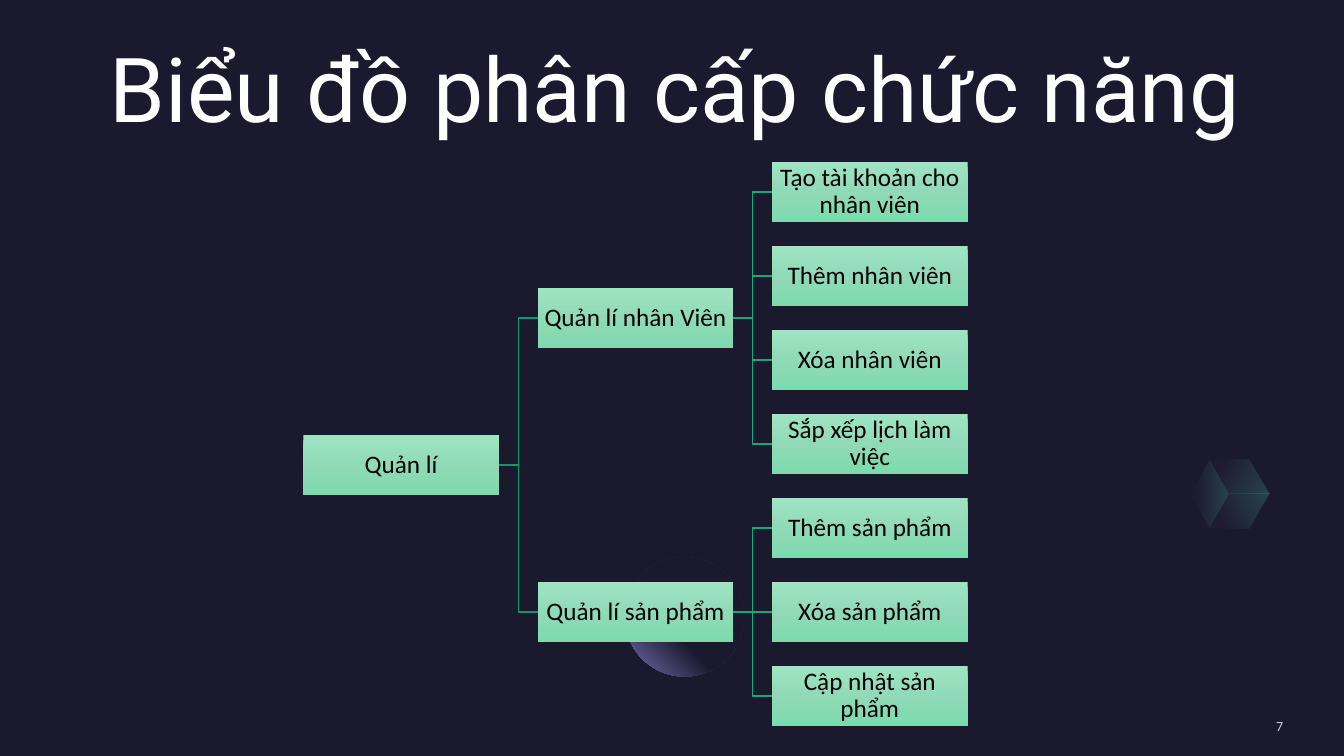
from dataclasses import dataclass

from lxml import etree
from pptx import Presentation
from pptx.dml.color import RGBColor
from pptx.enum.shapes import MSO_CONNECTOR, MSO_SHAPE
from pptx.enum.text import MSO_ANCHOR, PP_ALIGN
from pptx.oxml.ns import qn
from pptx.shapes.autoshape import Shape
from pptx.slide import Slide
from pptx.text.text import TextFrame
from pptx.util import Pt

RECTANGLE, OVAL = MSO_SHAPE.RECTANGLE, MSO_SHAPE.OVAL
ELBOW, STRAIGHT = MSO_CONNECTOR.ELBOW, MSO_CONNECTOR.STRAIGHT
LEFT, CENTER, RIGHT = PP_ALIGN.LEFT, PP_ALIGN.CENTER, PP_ALIGN.RIGHT
MIDDLE, BOTTOM = MSO_ANCHOR.MIDDLE, MSO_ANCHOR.BOTTOM

COLORS = {
    "background": "1B192E",
    "text": "FFFFFF",
    "box_text": "000000",
    "box_top": "9EE4C2",
    "box_middle": "91DAB7",
    "box_bottom": "7CDAAE",
    "root_line": "0F986E",
    "branch_line": "11AC7C",
    "cube_dark": "2C284A",
    "cube_light": "5BEFC1",
    "moon": "7771B2",
}

BOX_WIDTH, BOX_HEIGHT = 139.6, 42.6
TREE_LEFT, TREE_TOP = 216.7, 115.9
COLUMN_STEP, ROW_STEP = 167.4, 60
LEFT_SITE, RIGHT_SITE = 1, 3


@dataclass(frozen=True)
class Stop:
    position: int
    color: str
    alpha: int = 100


@dataclass(frozen=True)
class Facet:
    points: tuple[tuple[float, float], ...]
    angle: int


@dataclass(frozen=True)
class Style:
    size: float
    font: str
    color: str
    align: PP_ALIGN
    anchor: MSO_ANCHOR
    margin: float = 0
    space_after: float = 6
    line_spacing: float = 1.0


@dataclass(frozen=True)
class Node:
    label: str
    children: tuple["Node", ...] = ()


BOX_STOPS = (Stop(0, "box_top"), Stop(50, "box_middle"), Stop(100, "box_bottom"))
CUBE_STOPS = (Stop(20, "cube_dark", 20), Stop(100, "cube_light", 20))
MOON_STOPS = (Stop(60, "background"), Stop(100, "moon"))

CUBE_CENTER, CUBE_RIGHT = (877.7, 352.8), (906.5, 352.8)
CUBE_TOP_LEFT, CUBE_TOP_RIGHT = (864, 328.3), (892.1, 328.3)
CUBE_BOTTOM_LEFT, CUBE_BOTTOM_RIGHT = (864, 377.3), (892.1, 377.3)
CUBE_LEFT = (850.3, 352.8)
FACETS = (
    Facet((CUBE_TOP_RIGHT, CUBE_TOP_LEFT, CUBE_CENTER, CUBE_RIGHT), 30),
    Facet((CUBE_BOTTOM_LEFT, CUBE_LEFT, CUBE_TOP_LEFT, CUBE_CENTER), 0),
    Facet((CUBE_RIGHT, CUBE_BOTTOM_RIGHT, CUBE_BOTTOM_LEFT, CUBE_CENTER), 330),
)

TITLE = Style(64, "Roboto", "text", LEFT, BOTTOM)
PAGE_NUMBER = Style(10, "Calibri", "text", RIGHT, MIDDLE)
BOX_LABEL = Style(18, "Calibri", "box_text", CENTER, MIDDLE, 0.9, 6.3, 0.9)

FUNCTIONS = Node("Quản lí", (
    Node("Quản lí nhân Viên", (
        Node("Tạo tài khoản cho nhân viên"),
        Node("Thêm nhân viên"),
        Node("Xóa nhân viên"),
        Node("Sắp xếp lịch làm việc"),
    )),
    Node("Quản lí sản phẩm", (
        Node("Thêm sản phẩm"),
        Node("Xóa sản phẩm"),
        Node("Cập nhật sản phẩm"),
    )),
))


def rgb(name: str) -> RGBColor:
    return RGBColor.from_string(COLORS[name])


def set_alpha(color_element: etree._Element, percent: int) -> None:
    etree.SubElement(color_element, qn("a:alpha"), val=str(percent * 1000))


def paint_gradient(shape: Shape, stops: tuple[Stop, ...], angle: int | None) -> None:
    """Fill without outline; an angle of None gives a circle centred top right."""
    shape.shadow.inherit = False
    shape.line.fill.background()
    shape.fill.background()
    gradient = etree.Element(qn("a:gradFill"), rotWithShape="1")
    stop_list = etree.SubElement(gradient, qn("a:gsLst"))
    for stop in stops:
        entry = etree.SubElement(stop_list, qn("a:gs"), pos=str(stop.position * 1000))
        color = etree.SubElement(entry, qn("a:srgbClr"), val=COLORS[stop.color])
        if stop.alpha < 100:
            set_alpha(color, stop.alpha)
    if angle is None:
        circle = etree.SubElement(gradient, qn("a:path"), path="circle")
        etree.SubElement(circle, qn("a:fillToRect"), l="100000", b="100000")
    else:
        etree.SubElement(gradient, qn("a:lin"), ang=str(angle * 60000), scaled="0")
    properties = shape._element.spPr
    properties.replace(properties.find(qn("a:noFill")), gradient)


def write(frame: TextFrame, text: str, style: Style) -> None:
    frame.word_wrap = True
    frame.vertical_anchor = style.anchor
    frame.margin_left = frame.margin_right = Pt(style.margin)
    frame.margin_top = frame.margin_bottom = Pt(style.margin)
    para = frame.paragraphs[0]
    para.alignment = style.align
    para.space_after = Pt(style.space_after)
    para.line_spacing = style.line_spacing
    span = para.add_run()
    span.text = text
    span.font.size = Pt(style.size)
    span.font.name = style.font
    span.font.color.rgb = rgb(style.color)


def add_text(page: Slide, left: float, top: float, width: float, height: float,
             text: str, style: Style) -> Shape:
    box = page.shapes.add_textbox(Pt(left), Pt(top), Pt(width), Pt(height))
    write(box.text_frame, text, style)
    return box


def add_facet(page: Slide, facet: Facet) -> None:
    start, *others = [(Pt(x), Pt(y)) for x, y in facet.points]
    builder = page.shapes.build_freeform(*start)
    builder.add_line_segments(others, close=True)
    paint_gradient(builder.convert_to_shape(), CUBE_STOPS, facet.angle)


def link(page: Slide, parent: Shape, child: Shape, color: str) -> None:
    level = abs(parent.top - child.top) < Pt(1)
    line = page.shapes.add_connector(STRAIGHT if level else ELBOW, 0, 0, 0, 0)
    line.begin_connect(parent, RIGHT_SITE)
    line.end_connect(child, LEFT_SITE)
    line.line.color.rgb = rgb(color)
    line.line.width = Pt(1)
    etree.SubElement(line._element.spPr, qn("a:effectLst"))


def add_tree(page: Slide, node: Node, depth: int, first_row: int) -> tuple[Shape, float, int]:
    """Draw a node centred on its children; return its box, row and the next free row."""
    branches: list[Shape] = []
    rows: list[float] = []
    next_row = first_row
    for child in node.children:
        branch, child_row, next_row = add_tree(page, child, depth + 1, next_row)
        branches.append(branch)
        rows.append(child_row)
    if rows:
        row = (rows[0] + rows[-1]) / 2
    else:
        row, next_row = float(first_row), first_row + 1
    box = page.shapes.add_shape(
        RECTANGLE, Pt(TREE_LEFT + depth * COLUMN_STEP), Pt(TREE_TOP + row * ROW_STEP),
        Pt(BOX_WIDTH), Pt(BOX_HEIGHT))
    paint_gradient(box, BOX_STOPS, 90)
    write(box.text_frame, node.label, BOX_LABEL)
    for branch in branches:
        link(page, box, branch, "branch_line" if depth else "root_line")
    return box, row, next_row


def main() -> None:
    deck = Presentation()
    deck.slide_width, deck.slide_height = Pt(960), Pt(540)
    page = deck.slides.add_slide(deck.slide_layouts[6])
    page.background.fill.solid()
    page.background.fill.fore_color.rgb = rgb("background")
    for facet in FACETS:
        add_facet(page, facet)
    moon = page.shapes.add_shape(OVAL, Pt(446.4), Pt(398.2), Pt(85), Pt(85))
    paint_gradient(moon, MOON_STOPS, None)
    add_text(page, 78.5, 20.9, 835.2, 79.2, "Biểu đồ phân cấp chức năng", TITLE)
    number = add_text(page, 783.4, 512.6, 133.2, 12.2, "7", PAGE_NUMBER)
    set_alpha(number._element.find(".//" + qn("a:srgbClr")), 80)
    add_tree(page, FUNCTIONS, 0, 0)
    deck.save("out.pptx")


if __name__ == "__main__":
    main()
